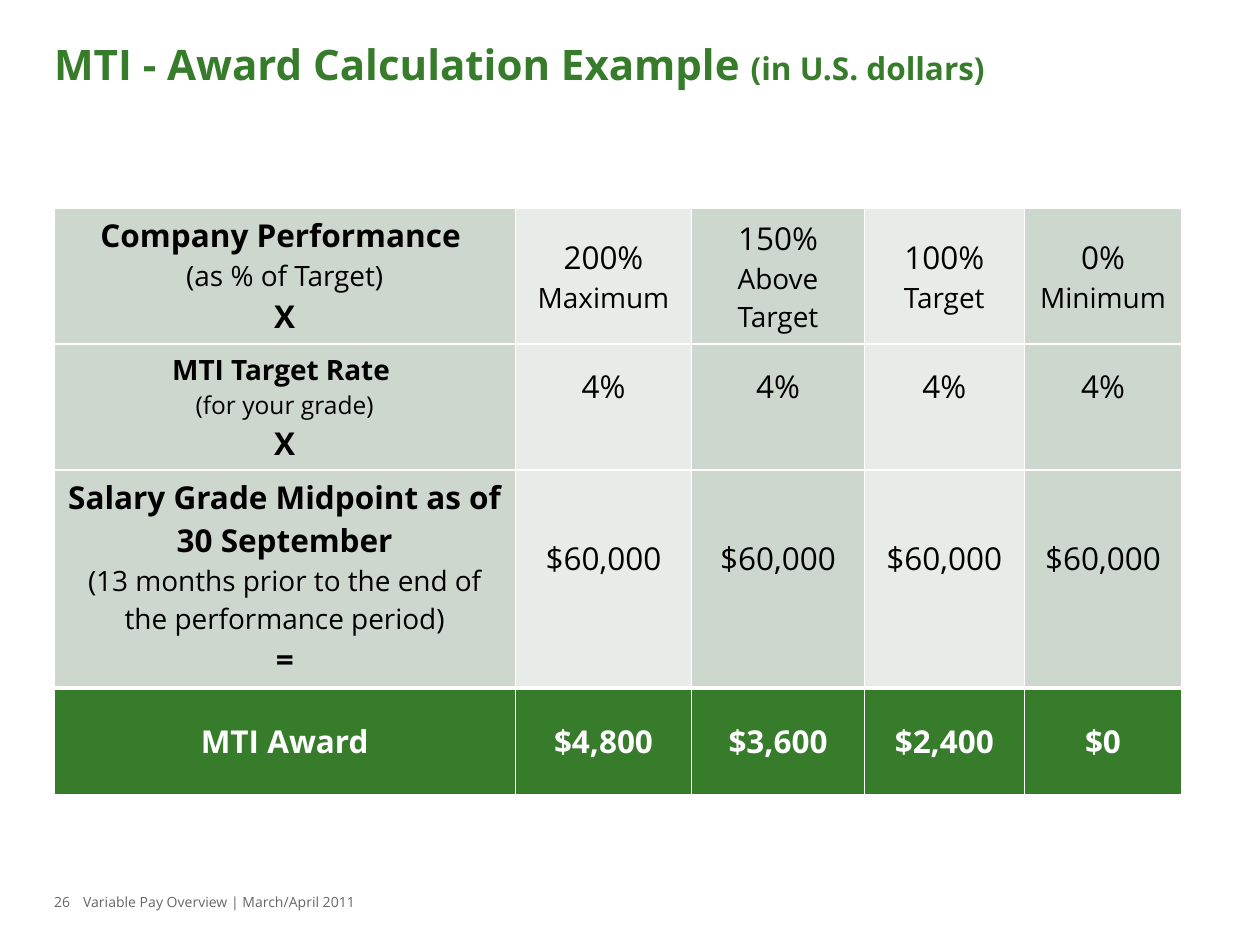
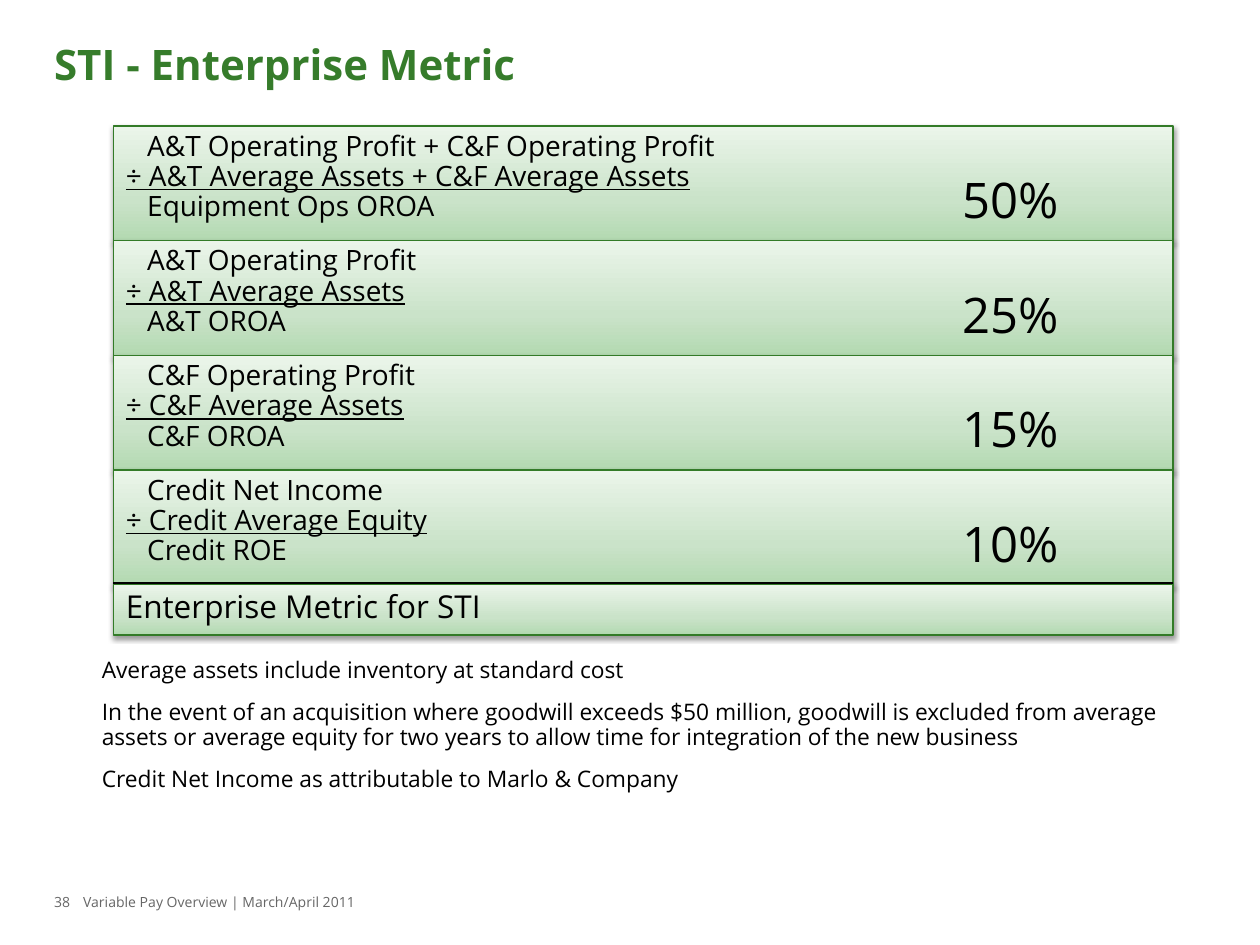
from dataclasses import dataclass
from itertools import accumulate
from lxml import etree
from pptx import Presentation
from pptx.dml.color import RGBColor as Color
from pptx.enum.shapes import MSO_CONNECTOR as Connector, MSO_SHAPE as Shape
from pptx.enum.text import MSO_ANCHOR as Anchor, PP_ALIGN as Align
from pptx.oxml import parse_xml
from pptx.oxml.ns import nsdecls, qn
from pptx.util import Inches, Pt


@dataclass(frozen=True)
class Theme:
    font: str = "Open Sans"
    green: str = "367C2B"
    outline: str = "337B28"
    sage: str = "CED7CD"
    mist: str = "E8ECE8"
    grey: str = "666666"
    black: str = "000000"
    white: str = "FFFFFF"
    gradient: tuple = ((0, "B3D9B1"), (35, "CAE3C9"), (100, "EBF5EA"))
    title: int = 24
    percent: int = 28
    large: int = 18
    body: int = 16
    small: int = 14
    note: int = 13
    footer: int = 8
    spacing: float = 0.9


THEME = Theme()
FOOTER = "Variable Pay Overview | March/April 2011"

AWARD_TITLE = [("MTI - Award Calculation Example ", THEME.title), ("(in U.S. dollars)", THEME.large)]
METRIC_TITLE = [("STI - Enterprise Metric", THEME.title)]

COLUMN_WIDTHS = [3.66, 1.4, 1.37, 1.27, 1.25]
ROW_HEIGHTS = [1.08, 1.0, 1.73, 0.85]
FACTORS = [
    [("Company Performance ", THEME.large, True), ("(as % of Target)", THEME.body, False), ("X", THEME.large, True)],
    [("MTI Target Rate ", THEME.body, True), ("(for your grade)", THEME.small, False), ("X", THEME.large, True)],
    [("Salary Grade Midpoint as of 30 September", THEME.large, True),
     ("(13 months prior to the end of the performance period)", THEME.body, False), ("=", THEME.large, True)],
    [("MTI Award", THEME.large, True)],
]
LEVELS = [
    ("200%", "Maximum", "$4,800"),
    ("150%", "Above Target", "$3,600"),
    ("100%", "Target", "$2,400"),
    ("0%", "Minimum", "$0"),
]
RATE, MIDPOINT = "4%", "$60,000"

METRICS = [
    ("A&T Operating Profit + C&F Operating Profit", "A&T Average Assets + C&F Average Assets",
     "Equipment Ops OROA", "50%"),
    ("A&T Operating Profit", "A&T Average Assets", "A&T OROA", "25%"),
    ("C&F Operating Profit", "C&F Average Assets", "C&F OROA", "15%"),
    ("Credit Net Income", "Credit Average Equity", "Credit ROE", "10%"),
]
METRIC_TOTAL = "Enterprise Metric for STI"
NOTES = [
    "Average assets include inventory at standard cost",
    "In the event of an acquisition where goodwill exceeds $50 million, goodwill is excluded "
    "from average assets or average equity for two years to allow time for integration of the new business",
    "Credit Net Income as attributable to Marlo & Company",
]
BAND_LEFT, BAND_TOP, BAND_WIDTH, BAND_HEIGHT = 0.9, 1, 8.41, 0.91


def style(font, size, color=THEME.black, bold=False, underline=False):
    font.name, font.size = THEME.font, Pt(size)
    font.color.rgb = Color.from_string(color)
    font.bold, font.underline = bold, underline


def add_para(frame, text, size, first=False, indent=0, **look):
    para = frame.paragraphs[0] if first else frame.add_paragraph()
    para.text = text
    para.line_spacing = THEME.spacing
    style(para.font, size, **look)
    if indent:
        para._p.get_or_add_pPr().set("marL", str(Inches(indent)))
    return para


def add_box(page, left, top, width, height, inset=0.1):
    box = page.shapes.add_textbox(*map(Inches, (left, top, width, height)))
    frame = box.text_frame
    frame.word_wrap = True
    frame.margin_left = frame.margin_right = Inches(inset)
    return frame


def add_page(deck, title, number):
    page = deck.slides.add_slide(deck.slide_layouts[6])
    para = add_box(page, 0.43, 0.3, 9.14, 0.71, 0).paragraphs[0]
    para.line_spacing = THEME.spacing
    for text, size in title:
        span = para.add_run()
        span.text = text
        style(span.font, size, THEME.green, True)
    for left, width, text in ((0.66, 5.95, FOOTER), (0.43, 0.25, str(number))):
        add_para(add_box(page, left, 7.06, width, 0.25, 0), text, THEME.footer, True, color=THEME.grey)
    return page


def set_borders(cell, top):
    properties = cell._tc.get_or_add_tcPr()
    sides = (("lnL", 1), ("lnR", 1), ("lnT", top), ("lnB", 1))
    for place, (side, width) in enumerate(sides):
        properties.insert(place, parse_xml(
            f'<a:{side} {nsdecls("a")} w="{Pt(width)}"><a:solidFill>'
            f'<a:srgbClr val="{THEME.white}"/></a:solidFill></a:{side}>'))


def fill_cell(cell, lines, fill, color, top_border):
    cell.fill.solid()
    cell.fill.fore_color.rgb = Color.from_string(fill)
    set_borders(cell, top_border)
    for index, (text, size, bold) in enumerate(lines):
        para = add_para(cell.text_frame, text, size, index == 0, color=color, bold=bold)
        para.alignment, para.line_spacing = Align.CENTER, 1.0


def add_award_table(page):
    size = Inches(sum(COLUMN_WIDTHS)), Inches(sum(ROW_HEIGHTS))
    frame = page.shapes.add_table(len(FACTORS), len(COLUMN_WIDTHS), Inches(0.43), Inches(1.65), *size)
    table = frame.table
    table.first_row = table.horz_banding = False
    for column, width in zip(table.columns, COLUMN_WIDTHS):
        column.width = Inches(width)
    last = len(FACTORS) - 1
    for row, (factor, height) in enumerate(zip(FACTORS, ROW_HEIGHTS)):
        table.rows[row].height = Inches(height)
        cells = [factor]
        for percent, level, award in LEVELS:
            cells.append([
                [(percent, THEME.large, False), (level, THEME.body, False)],
                [(RATE, THEME.large, False)],
                [(MIDPOINT, THEME.large, False)],
                [(award, THEME.large, True)],
            ][row])
        for column, lines in enumerate(cells):
            cell = table.cell(row, column)
            total = row == last
            fill = THEME.green if total else (THEME.sage, THEME.mist)[column % 2]
            fill_cell(cell, lines, fill, THEME.white if total else THEME.black, 3 if total else 1)
            if column or total:
                cell.vertical_anchor = Anchor.MIDDLE
            if column and row in (1, 2):
                cell.margin_bottom = Inches(0.38)


def add_band(page, top, height):
    band = page.shapes.add_shape(Shape.RECTANGLE, *map(Inches, (BAND_LEFT, top, BAND_WIDTH, height)))
    band.line.color.rgb = Color.from_string(THEME.outline)
    band.line.width = Pt(0.75)
    stops = "".join(f'<a:gs pos="{place * 1000}"><a:srgbClr val="{color}"/></a:gs>'
                    for place, color in THEME.gradient)
    properties = band._element.spPr
    properties.insert(2, parse_xml(
        f'<a:gradFill {nsdecls("a")} rotWithShape="1"><a:gsLst>{stops}</a:gsLst>'
        '<a:lin ang="16200000" scaled="0"/></a:gradFill>'))
    properties.append(parse_xml(
        f'<a:effectLst {nsdecls("a")}><a:outerShdw blurRad="{Pt(3.1)}" dist="{Pt(1.6)}" dir="5400000" '
        f'rotWithShape="0"><a:srgbClr val="{THEME.black}"><a:alpha val="38000"/></a:srgbClr>'
        '</a:outerShdw></a:effectLst>'))
    frame = band.text_frame
    frame.word_wrap = True
    frame.vertical_anchor = Anchor.TOP
    return frame


def add_metrics(page):
    tops = list(accumulate([BAND_HEIGHT] * len(METRICS), initial=BAND_TOP))
    for top, (profit, base, result, weight) in zip(tops, METRICS):
        frame = add_band(page, top, BAND_HEIGHT)
        lines = ((profit, 0.17, False), (f"÷ {base}", 0, True), (result, 0.17, False))
        for index, (text, indent, underline) in enumerate(lines):
            para = add_para(frame, text, THEME.body, index == 0, indent, underline=underline)
            para.alignment = Align.LEFT
        add_para(add_box(page, 7.54, top + 0.35, 1.76, 0.57), weight, THEME.percent, True)
    bottom = tops[-1]
    ends = map(Inches, (BAND_LEFT, bottom, BAND_LEFT + BAND_WIDTH, bottom))
    rule = page.shapes.add_connector(Connector.STRAIGHT, *ends)
    rule.line.color.rgb = Color.from_string(THEME.black)
    rule.line.width = Pt(3)
    etree.SubElement(rule._element.spPr, qn("a:effectLst"))
    add_para(add_band(page, bottom, 0.4), METRIC_TOTAL, THEME.large, True).alignment = Align.LEFT


def add_notes(page):
    frame = add_box(page, 0.71, 5.18, 8.84, 1.46)
    for index, note in enumerate(NOTES):
        para = add_para(frame, note, THEME.note, index == 0)
        para.space_before = Pt(10 if index else 0)


deck = Presentation()
deck.slide_width, deck.slide_height = Inches(10), Inches(7.5)
add_award_table(add_page(deck, AWARD_TITLE, 26))
metric_page = add_page(deck, METRIC_TITLE, 38)
add_metrics(metric_page)
add_notes(metric_page)
deck.save("out.pptx")
